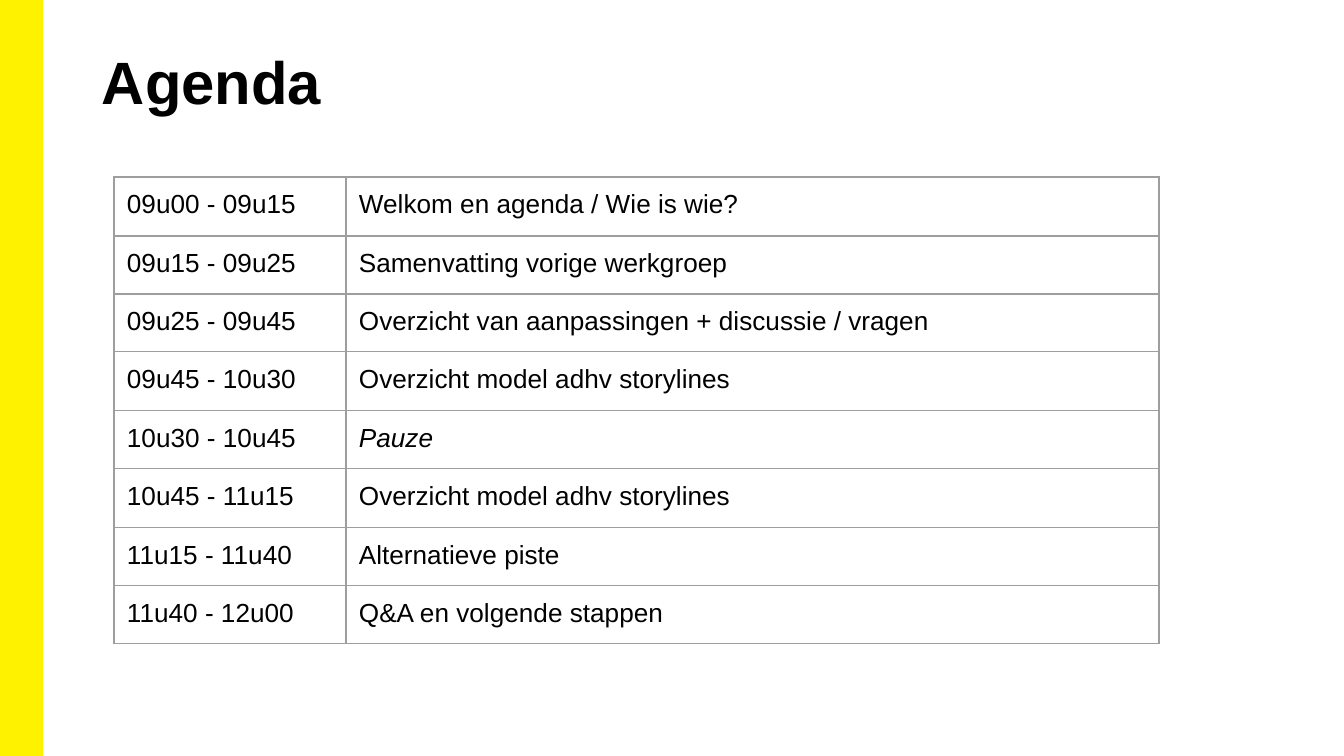
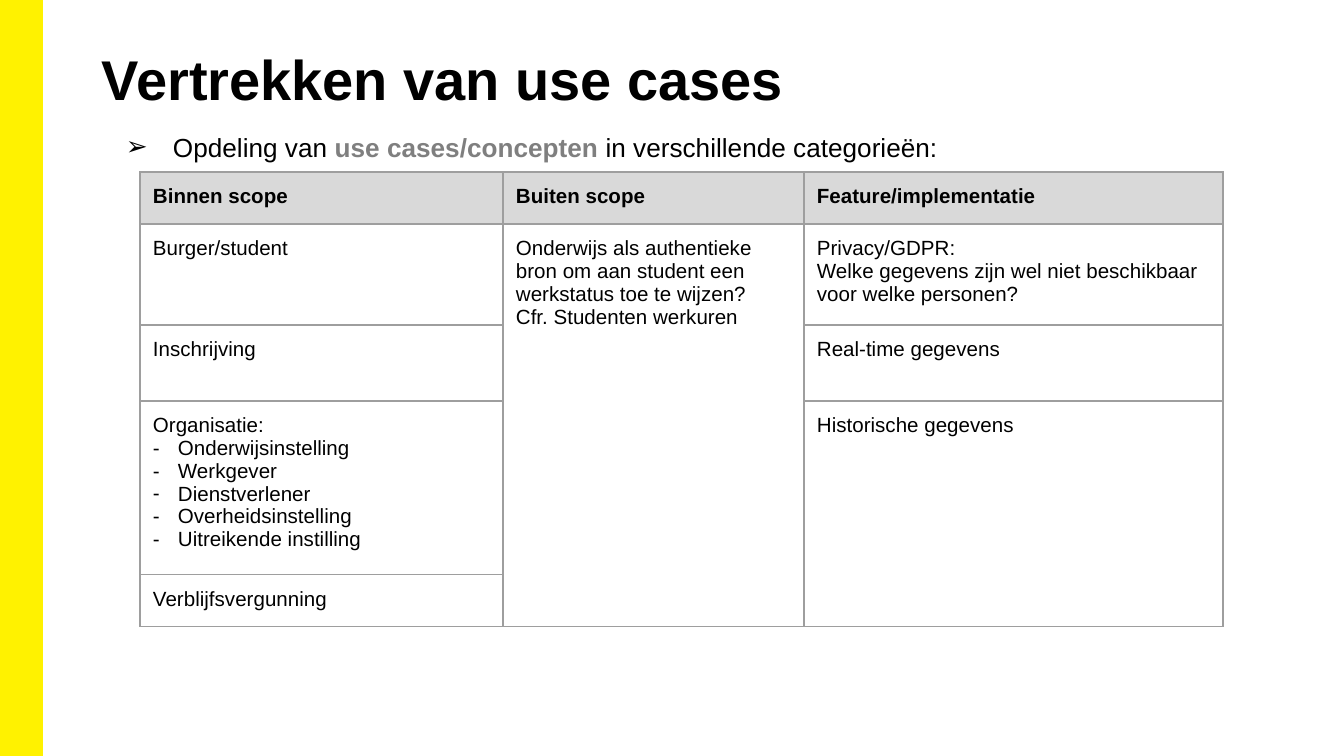
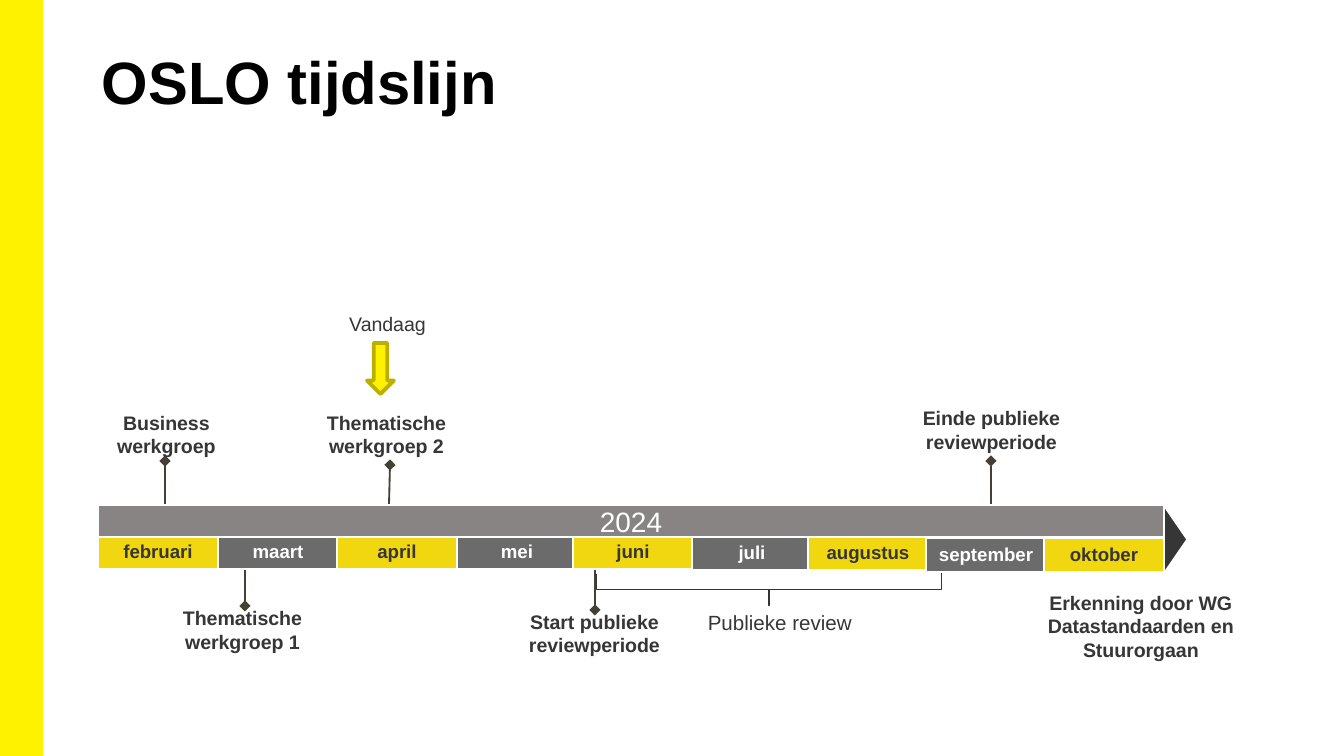
from lxml import etree
from pptx import Presentation
from pptx.dml.color import RGBColor
from pptx.enum.shapes import MSO_CONNECTOR, MSO_SHAPE
from pptx.enum.text import MSO_ANCHOR, PP_ALIGN
from pptx.oxml.ns import qn
from pptx.util import Emu, Pt

EMU_PER_PX = 914400 / 134.4
SLIDE_WIDTH, SLIDE_HEIGHT = 1344, 756
FONT = "Arial"

BLACK = RGBColor(0x00, 0x00, 0x00)
WHITE = RGBColor(0xFF, 0xFF, 0xFF)
YELLOW = RGBColor(0xFF, 0xF2, 0x00)
DARK_YELLOW = RGBColor(0xBA, 0xB0, 0x00)
MONTH_YELLOW = RGBColor(0xF0, 0xD7, 0x0F)
MONTH_GRAY = RGBColor(0x6B, 0x6B, 0x6B)
YEAR_GRAY = RGBColor(0x88, 0x84, 0x84)
CHARCOAL = RGBColor(0x37, 0x36, 0x36)
BRACE_GRAY = RGBColor(0x35, 0x33, 0x33)
MARKER_BROWN = RGBColor(0x45, 0x40, 0x34)
ACCENT_GRAY = RGBColor(0x7F, 0x7F, 0x7F)
HEADER_GRAY = RGBColor(0xD9, 0xD9, 0xD9)
BORDER_GRAY = RGBColor(0x9E, 0x9E, 0x9E)

LEFT, CENTER = PP_ALIGN.LEFT, PP_ALIGN.CENTER
TOP, MIDDLE = MSO_ANCHOR.TOP, MSO_ANCHOR.MIDDLE
RECTANGLE = MSO_SHAPE.RECTANGLE
TRIANGLE = MSO_SHAPE.ISOSCELES_TRIANGLE
DOWN_ARROW = MSO_SHAPE.DOWN_ARROW
LEFT_BRACE = MSO_SHAPE.LEFT_BRACE
STRAIGHT = MSO_CONNECTOR.STRAIGHT

AGENDA = [
    ("09u00 - 09u15", "Welkom en agenda / Wie is wie?"),
    ("09u15 - 09u25", "Samenvatting vorige werkgroep"),
    ("09u25 - 09u45", "Overzicht van aanpassingen + discussie / vragen"),
    ("09u45 - 10u30", "Overzicht model adhv storylines"),
    ("10u30 - 10u45", [[("Pauze", {"italic": True})]]),
    ("10u45 - 11u15", "Overzicht model adhv storylines"),
    ("11u15 - 11u40", "Alternatieve piste"),
    ("11u40 - 12u00", "Q&A en volgende stappen"),
]

USE_CASES = [
    ("Binnen scope", "Buiten scope", "Feature/implementatie"),
    ("Burger/student",
     ["Onderwijs als authentieke bron om aan student een werkstatus toe te wijzen?",
      "Cfr. Studenten werkuren"],
     ["Privacy/GDPR:",
      "Welke gegevens zijn wel niet beschikbaar voor welke personen?"]),
    ("Inschrijving", None, "Real-time gegevens"),
    (["Organisatie:", "Onderwijsinstelling", "Werkgever", "Dienstverlener",
      "Overheidsinstelling", "Uitreikende instilling"], None, "Historische gegevens"),
    ("Verblijfsvergunning", None, None),
]

# name, left, top
MONTHS = [
    ("februari", 98, 535), ("maart", 218, 535), ("april", 337, 535),
    ("mei", 457, 535), ("juni", 573, 535), ("juli", 692, 536),
    ("augustus", 808, 536), ("september", 926, 538), ("oktober", 1044, 538),
]

# upper point, lower point, end that carries the diamond
MARKERS = [
    ((390, 465), (388, 546), "headEnd"),
    ((245, 569), (245, 606), "tailEnd"),
    ((595, 567), (595, 610), "tailEnd"),
    ((165, 461), (165, 523), "headEnd"),
    ((991, 461), (991, 531), "headEnd"),
]

# text, left, top, width
MILESTONES = [
    ("Business werkgroep", 85, 411, 163),
    ("Thematische werkgroep 1", 161, 606, 163),
    ("Thematische werkgroep 2", 305, 411, 163),
    ("Start publieke reviewperiode", 513, 610, 163),
    ("Einde publieke reviewperiode", 910, 406, 163),
    ("Erkenning door WG Datastandaarden en Stuurorgaan", 1044, 591, 194),
]


def px(length):
    return Emu(round(length * EMU_PER_PX))


def write_text(frame, text, size=14, color=BLACK, bold=False, italic=False,
               align=LEFT, anchor=TOP, insets=None):
    """Fill a frame from a string, or a list of paragraphs made of strings or (text, format) runs."""
    frame.word_wrap = True
    if insets is not None:
        frame.vertical_anchor = anchor
        (frame.margin_left, frame.margin_top,
         frame.margin_right, frame.margin_bottom) = map(px, insets)
    for index, content in enumerate([text] if isinstance(text, str) else text):
        paragraph = frame.add_paragraph() if index else frame.paragraphs[0]
        paragraph.alignment = align
        for words, changes in [(content, {})] if isinstance(content, str) else content:
            run = paragraph.add_run()
            run.text = words
            run.font.name = FONT
            run.font.size = Pt(size)
            run.font.bold = changes.get("bold", bold)
            run.font.italic = changes.get("italic", italic)
            run.font.color.rgb = changes.get("color", color)


def add_bullet(paragraph, character, indent, hanging):
    properties = paragraph._p.get_or_add_pPr()
    properties.set("marL", str(px(indent)))
    properties.set("indent", str(-px(hanging)))
    color = etree.SubElement(properties, qn("a:buClr"))
    etree.SubElement(color, qn("a:srgbClr"), val=str(BLACK))
    etree.SubElement(properties, qn("a:buFont"), typeface=FONT)
    etree.SubElement(properties, qn("a:buChar"), char=character)


def add_text(slide, text, left, top, width, height, insets=(0, 0, 0, 0), **text_format):
    box = slide.shapes.add_textbox(px(left), px(top), px(width), px(height))
    write_text(box.text_frame, text, insets=insets, **text_format)
    return box


def add_shape(slide, kind, left, top, width, height, fill=None, line=WHITE,
              line_width=0.75, rotation=0, adjustments=()):
    shape = slide.shapes.add_shape(kind, px(left), px(top), px(width), px(height))
    shape.shadow.inherit = False
    shape.rotation = rotation
    for index, value in enumerate(adjustments):
        shape.adjustments[index] = value
    if fill is None:
        shape.fill.background()
    else:
        shape.fill.solid()
        shape.fill.fore_color.rgb = fill
    shape.line.color.rgb = line
    shape.line.width = Pt(line_width)
    return shape


def add_marker(slide, upper, lower, diamond_end):
    """Draw a thin line with a diamond at one end."""
    connector = slide.shapes.add_connector(STRAIGHT, *map(px, upper + lower))
    connector.line.color.rgb = MARKER_BROWN
    connector.line.width = Pt(1)
    etree.SubElement(connector.line._get_or_add_ln(), qn("a:" + diamond_end), type="diamond")
    etree.SubElement(connector._element.spPr, qn("a:effectLst"))


def set_borders(cell):
    properties = cell._tc.get_or_add_tcPr()
    for side in ("lnL", "lnR", "lnT", "lnB"):
        border = etree.SubElement(properties, qn("a:" + side), w=str(Pt(0.75)))
        fill = etree.SubElement(border, qn("a:solidFill"))
        etree.SubElement(fill, qn("a:srgbClr"), val=str(BORDER_GRAY))


def add_table(slide, rows, left, top, column_widths, row_heights, size, has_header=False):
    frame = slide.shapes.add_table(
        len(rows), len(column_widths), px(left), px(top),
        px(sum(column_widths)), px(sum(row_heights)))
    table = frame.table
    table.first_row = has_header
    table.horz_banding = False
    for column, width in zip(table.columns, column_widths):
        column.width = px(width)
    for row, height in zip(table.rows, row_heights):
        row.height = px(height)
    for row_index, row in enumerate(rows):
        is_header = has_header and row_index == 0
        for column_index, text in enumerate(row):
            cell = table.cell(row_index, column_index)
            cell.margin_left = cell.margin_right = px(13)
            cell.margin_top = cell.margin_bottom = px(13)
            set_borders(cell)
            if is_header:
                cell.fill.solid()
                cell.fill.fore_color.rgb = HEADER_GRAY
            else:
                cell.fill.background()
            if text is not None:
                write_text(cell.text_frame, text, size=size, bold=is_header)
    return table


def add_titled_slide(presentation, title, size=32, width=1159, height=109):
    slide = presentation.slides.add_slide(presentation.slide_layouts[6])
    add_shape(slide, RECTANGLE, 0, 0, 42, SLIDE_HEIGHT, YELLOW, YELLOW, 1)
    add_text(slide, title, 93, 40, width, height, insets=(9, 5, 9, 5), size=size, bold=True)
    return slide


def add_month(slide, index):
    name, left, top = MONTHS[index]
    fill, color = (MONTH_GRAY, WHITE) if index % 2 else (MONTH_YELLOW, CHARCOAL)
    shape = add_shape(slide, RECTANGLE, left, top, 120, 34, fill)
    write_text(shape.text_frame, name, size=10, color=color, bold=True,
               align=CENTER, anchor=MIDDLE, insets=(11, 11, 11, 13))


def build_agenda(presentation):
    slide = add_titled_slide(presentation, "Agenda")
    add_table(slide, AGENDA, 114, 177, [232, 813], [59, 58, 56, 59, 58, 59, 58, 58], size=14)


def build_use_cases(presentation):
    slide = add_titled_slide(presentation, "Vertrekken van use cases", 30, 1206, 81)
    intro = [("Opdeling van ", {}),
             ("use cases/concepten", {"bold": True, "color": ACCENT_GRAY}),
             (" in verschillende categorieën:", {})]
    box = add_text(slide, [intro], 93, 118, 1179, 59, insets=(13, 13, 13, 13))
    add_bullet(box.text_frame.paragraphs[0], "➢", 67, 47)
    table = add_table(slide, USE_CASES, 140, 172, [363, 301, 419],
                      [52, 101, 76, 174, 52], size=11, has_header=True)
    for paragraph in table.cell(3, 0).text_frame.paragraphs[1:]:
        add_bullet(paragraph, "-", 25, 25)
    table.cell(1, 1).merge(table.cell(4, 1))
    table.cell(3, 2).merge(table.cell(4, 2))


def build_timeline(presentation):
    slide = add_titled_slide(presentation, "OSLO tijdslijn")
    for marker in MARKERS:
        add_marker(slide, *marker)
    add_shape(slide, TRIANGLE, 1142, 528, 67, 23, CHARCOAL, rotation=90)
    for index in range(7):
        add_month(slide, index)
    for text, left, top, width in MILESTONES:
        add_text(slide, text, left, top, width, 56,
                 size=10.5, color=CHARCOAL, bold=True, align=CENTER)
    add_shape(slide, LEFT_BRACE, 753, 417, 32, 345, line=BRACE_GRAY,
              rotation=270, adjustments=(0, 0.5))
    add_text(slide, "Publieke review", 659, 610, 242, 56,
             size=11, color=CHARCOAL, align=CENTER)
    add_shape(slide, DOWN_ARROW, 367, 343, 27, 51, YELLOW, DARK_YELLOW, 2)
    add_text(slide, "Vandaag", 306, 312, 163, 35, size=10.5, color=CHARCOAL, align=CENTER)
    year = add_shape(slide, RECTANGLE, 98, 505, 1066, 32, YEAR_GRAY)
    write_text(year.text_frame, "2024", size=15, color=WHITE,
               align=CENTER, anchor=MIDDLE, insets=(13, 7, 13, 7))
    for index in range(7, len(MONTHS)):
        add_month(slide, index)


def main():
    presentation = Presentation()
    presentation.slide_width = px(SLIDE_WIDTH)
    presentation.slide_height = px(SLIDE_HEIGHT)
    build_agenda(presentation)
    build_use_cases(presentation)
    build_timeline(presentation)
    presentation.save("out.pptx")


if __name__ == "__main__":
    main()
